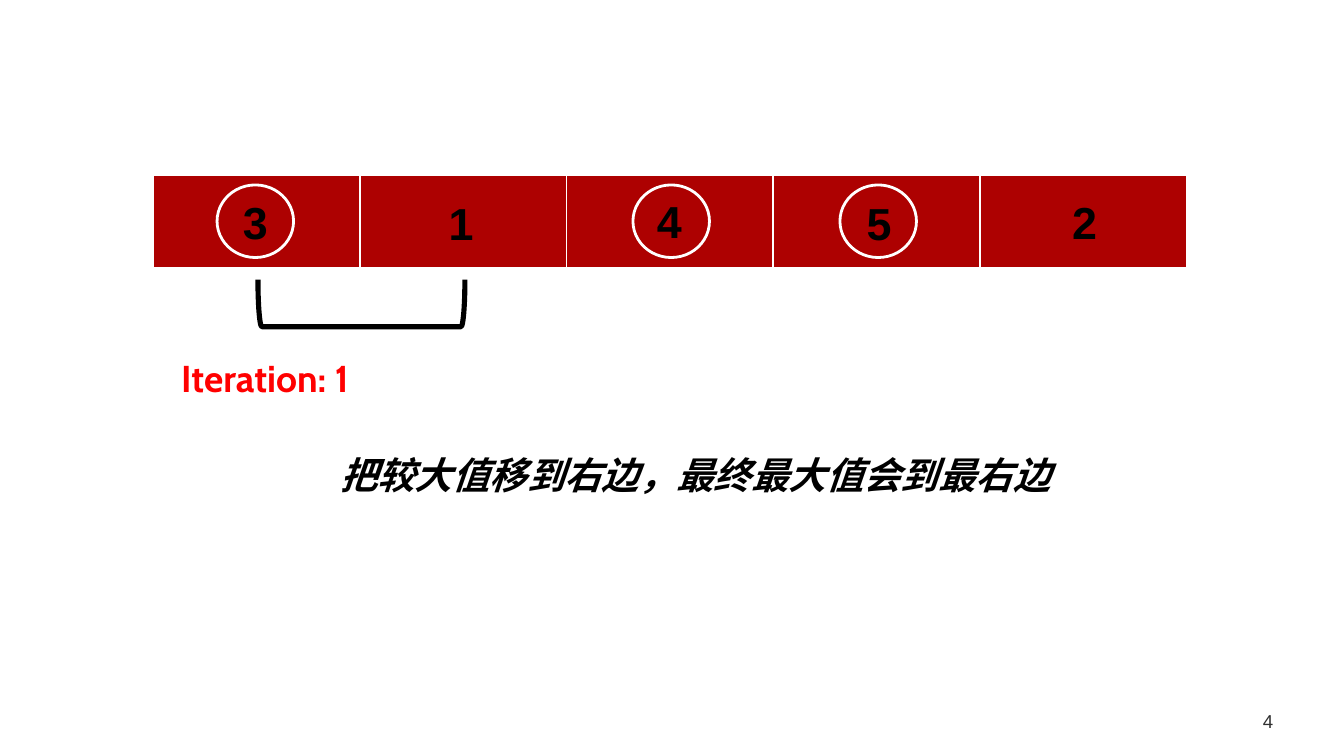
from dataclasses import dataclass

from lxml.etree import SubElement
from pptx import Presentation
from pptx.dml.color import RGBColor
from pptx.enum.shapes import MSO_SHAPE
from pptx.enum.text import MSO_ANCHOR, PP_ALIGN
from pptx.oxml.ns import qn
from pptx.shapes.autoshape import Shape
from pptx.slide import Slide
from pptx.table import _Cell
from pptx.util import Pt

BLACK = RGBColor(0x00, 0x00, 0x00)
WHITE = RGBColor(0xFF, 0xFF, 0xFF)
CELL_RED = RGBColor(0xAD, 0x01, 0x01)
LABEL_RED = RGBColor(0xFF, 0x00, 0x00)
PAGE_GREY = RGBColor(0x30, 0x30, 0x30)

ARRAY_LEFT, ARRAY_TOP = 82.1, 94
CELL_WIDTH, CELL_HEIGHT = 110.7, 50.4
DIGIT_WIDTH, DIGIT_HEIGHT = 67.7, 36
CIRCLE_WIDTH, CIRCLE_HEIGHT = 41, 38.9
BORDERS = {"a:lnL": 1, "a:lnR": 1, "a:lnT": 1, "a:lnB": 3}


@dataclass(frozen=True)
class Box:
    left: float
    top: float
    width: float
    height: float


@dataclass(frozen=True)
class Label:
    text: str
    box: Box
    font: str
    size: float
    color: RGBColor
    bold: bool = True
    italic: bool = False
    alignment: PP_ALIGN = PP_ALIGN.CENTER
    anchor: MSO_ANCHOR = MSO_ANCHOR.TOP
    line_spacing: float = 1.0


@dataclass(frozen=True)
class Element:
    digit: str
    center: float
    top: float
    circle_center: float | None = None


ELEMENTS = [
    Element("3", 136.8, 100.8, 136.8),
    Element("1", 247, 101.5),
    Element("4", 358.6, 100.1, 359.6),
    Element("5", 470.9, 101.5, 470.5),
    Element("2", 581, 100.8),
]

LABELS = [
    Label("把较大值移到右边，最终最大值会到最右边", Box(49.7, 234, 645.8, 32.4),
          "Noto Sans CJK SC", 20, BLACK, italic=True, line_spacing=1.2),
    Label("Iteration: 1", Box(90, 186.5, 231.8, 31.7), "Cabin", 20, LABEL_RED,
          alignment=PP_ALIGN.LEFT),
    Label("4", Box(645.8, 374.4, 67, 21.6), "Arial", 10, PAGE_GREY, bold=False,
          anchor=MSO_ANCHOR.BOTTOM),
]


def add_label(slide: Slide, label: Label) -> None:
    box = label.box
    shape = slide.shapes.add_textbox(Pt(box.left), Pt(box.top), Pt(box.width), Pt(box.height))
    frame = shape.text_frame
    frame.word_wrap = True
    frame.vertical_anchor = label.anchor
    paragraph = frame.paragraphs[0]
    paragraph.alignment = label.alignment
    paragraph.line_spacing = label.line_spacing
    run = paragraph.add_run()
    run.text = label.text
    run.font.name = label.font
    run.font.size = Pt(label.size)
    run.font.bold = label.bold
    run.font.italic = label.italic
    run.font.color.rgb = label.color
    SubElement(run.font._element, qn("a:ea"), typeface=label.font)


def style_cell(cell: _Cell) -> None:
    properties = cell._tc.get_or_add_tcPr()
    for tag, width in BORDERS.items():
        border = SubElement(properties, qn(tag), w=str(Pt(width)))
        fill = SubElement(border, qn("a:solidFill"))
        SubElement(fill, qn("a:srgbClr"), val=str(WHITE))
    cell.fill.solid()
    cell.fill.fore_color.rgb = CELL_RED


def add_array(slide: Slide) -> None:
    count = len(ELEMENTS)
    table = slide.shapes.add_table(1, count, Pt(ARRAY_LEFT), Pt(ARRAY_TOP),
                                   Pt(CELL_WIDTH * count), Pt(CELL_HEIGHT)).table
    for column in table.columns:
        column.width = Pt(CELL_WIDTH)
    for cell in table.iter_cells():
        style_cell(cell)


def add_outline(slide: Slide, kind: MSO_SHAPE, box: Box, color: RGBColor, width: float) -> Shape:
    shape = slide.shapes.add_shape(kind, Pt(box.left), Pt(box.top), Pt(box.width), Pt(box.height))
    shape.shadow.inherit = False
    shape.fill.background()
    shape.line.color.rgb = color
    shape.line.width = Pt(width)
    return shape


def main() -> None:
    presentation = Presentation()
    presentation.slide_width = Pt(720)
    presentation.slide_height = Pt(405)
    slide = presentation.slides.add_slide(presentation.slide_layouts[6])

    add_array(slide)
    for element in ELEMENTS:
        box = Box(element.center - DIGIT_WIDTH / 2, element.top, DIGIT_WIDTH, DIGIT_HEIGHT)
        add_label(slide, Label(element.digit, box, "Arial", 24, BLACK))
    for element in ELEMENTS:
        if element.circle_center is not None:
            box = Box(element.circle_center - CIRCLE_WIDTH / 2, 99.1, CIRCLE_WIDTH, CIRCLE_HEIGHT)
            add_outline(slide, MSO_SHAPE.OVAL, box, WHITE, 1.5)

    bracket = add_outline(slide, MSO_SHAPE.RIGHT_BRACKET, Box(181, 107, 25.2, 110.9), BLACK, 2.75)
    bracket.rotation = 90
    for label in LABELS:
        add_label(slide, label)
    presentation.save("out.pptx")


if __name__ == "__main__":
    main()
